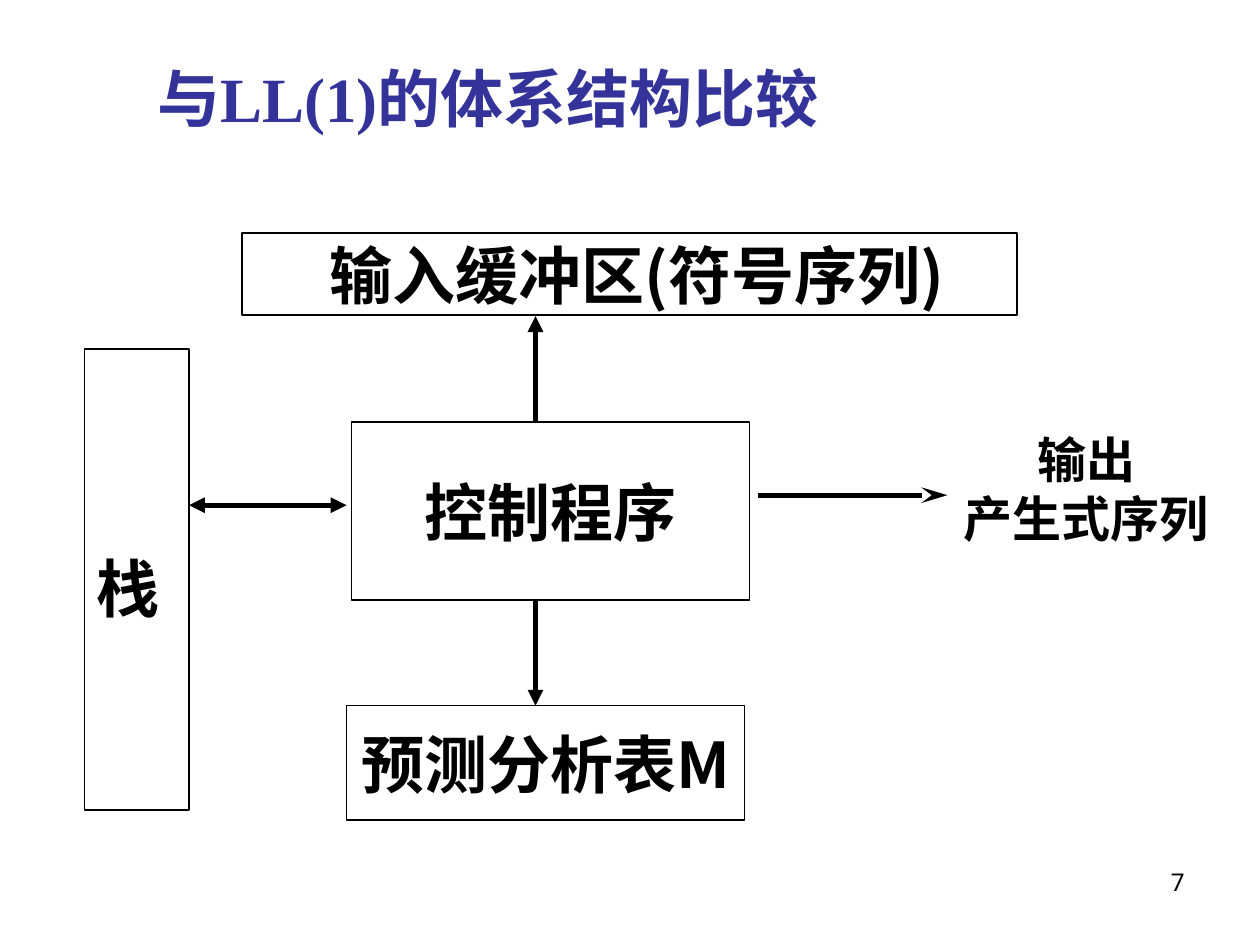
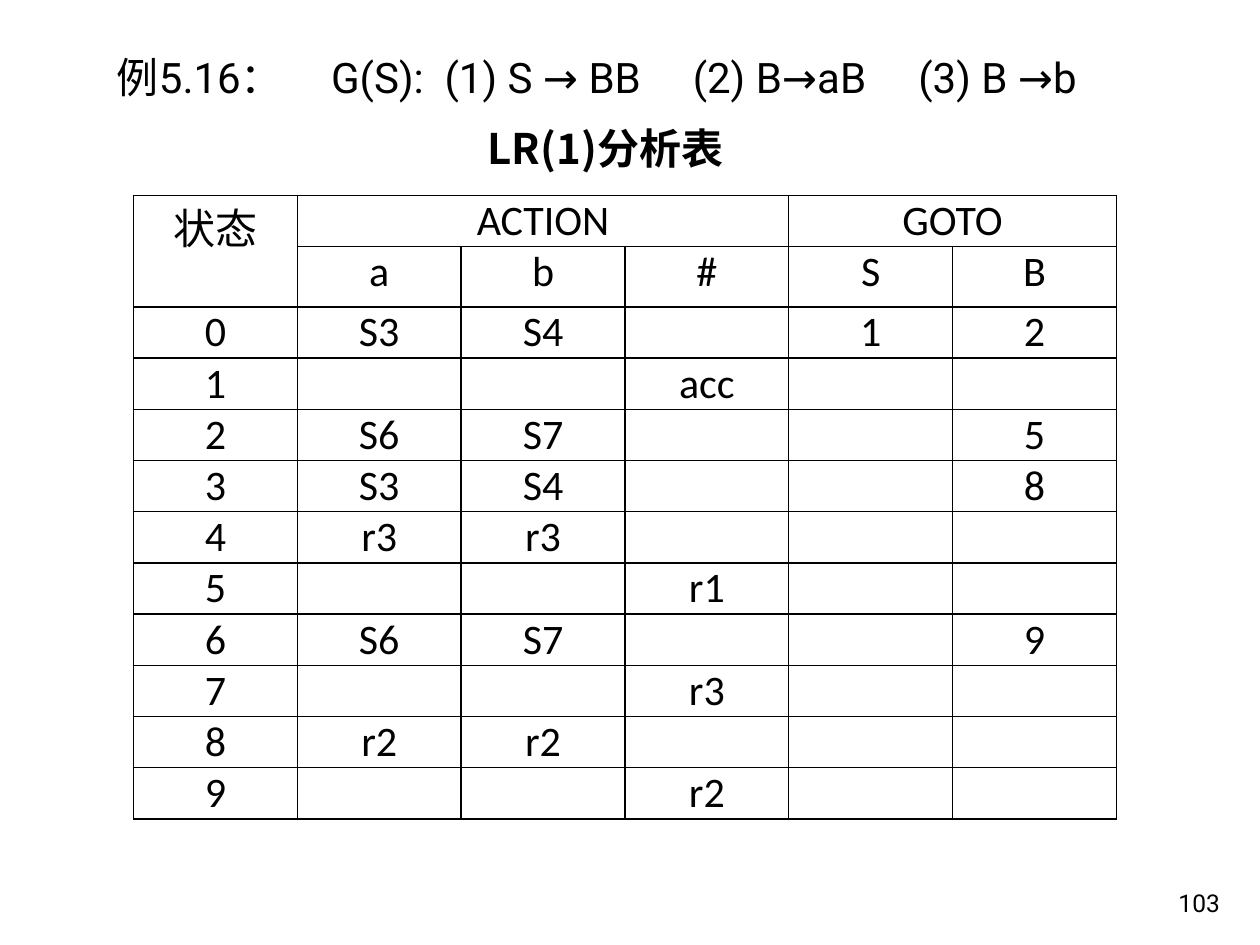
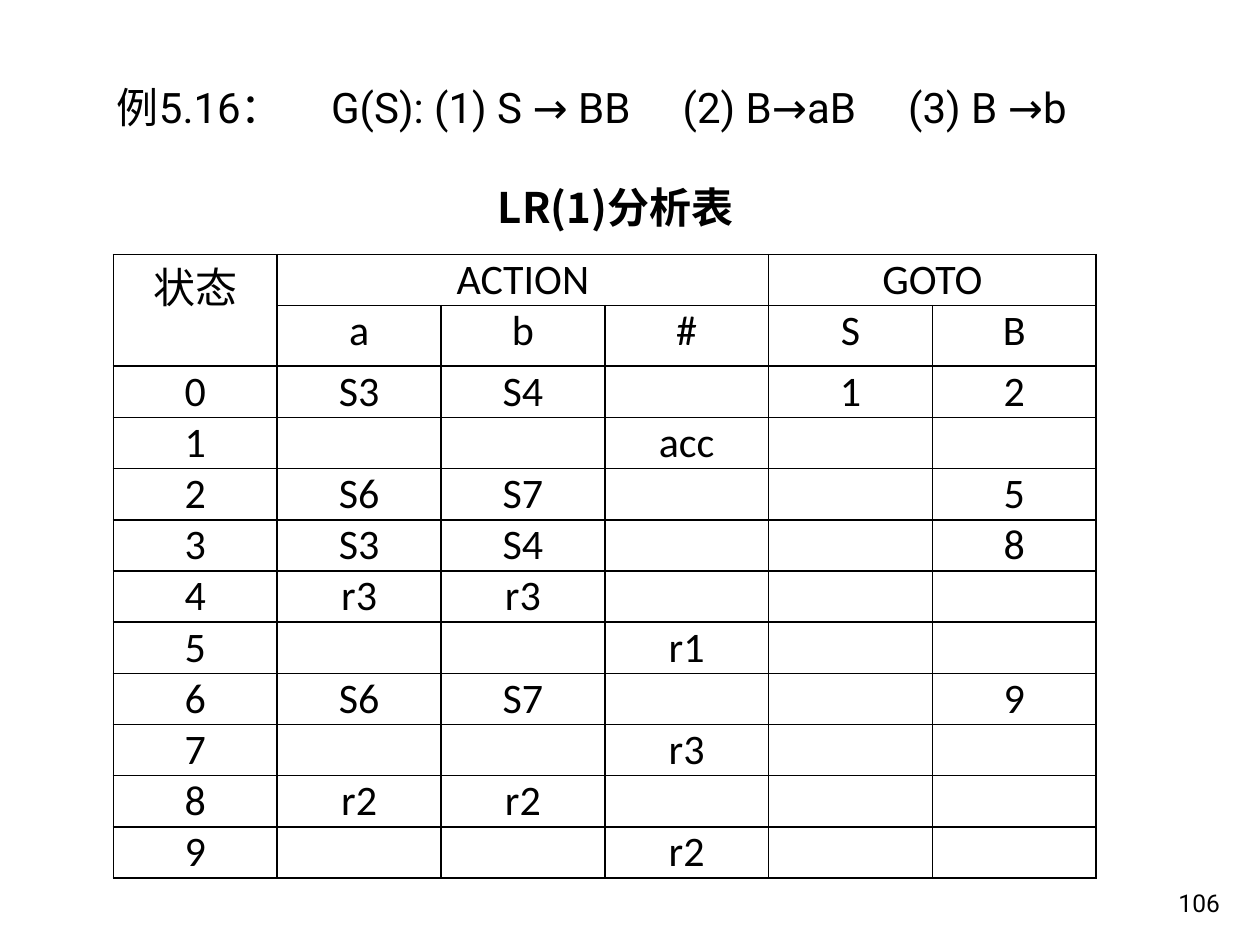
"""Build three slides on LL(1) structure and LR(1) parsing tables."""
from dataclasses import dataclass

from lxml import etree
from pptx import Presentation
from pptx import util as u
from pptx.dml.color import RGBColor
from pptx.enum import shapes, text
from pptx.oxml import ns


@dataclass(frozen=True)
class Theme:
    ink: RGBColor = RGBColor(0, 0, 0)
    title_color: RGBColor = RGBColor(0x33, 0x33, 0x99)
    cjk: str = "Noto Sans CJK JP"
    title_font: str = "Times New Roman"
    body_font: str = "Roboto"
    table_font: str = "Calibri"
    title: int = 36
    label: int = 28
    body: int = 24
    number: int = 14
    border: int = 1
    arrow: int = 3


THEME = Theme()
LEFT, CENTER, RIGHT = text.PP_ALIGN.LEFT, text.PP_ALIGN.CENTER, text.PP_ALIGN.RIGHT
TOP, MIDDLE, BOTTOM = text.MSO_ANCHOR.TOP, text.MSO_ANCHOR.MIDDLE, text.MSO_ANCHOR.BOTTOM

STRUCTURE_TITLE = "与LL(1)的体系结构比较"
OUTPUT_LABEL = "输出\n产生式序列"
BLOCKS = [
    (" 输入缓冲区(符号序列)", (1.92, 1.85, 6.15, 0.65), {}),
    ("栈", (0.67, 2.77, 0.83, 3.66), {"align": LEFT, "spacing": 1.2}),
    ("控制程序", (2.79, 3.35, 3.16, 1.41), {}),
    ("预测分析表M", (2.75, 5.6, 3.16, 0.91), {}),
]
TRIANGLE = {"type": "triangle"}
LONG_STEALTH = {"type": "stealth", "len": "lg"}
ARROWS = [
    ((4.25, 3.35), (4.25, 2.51), {"tail": TRIANGLE}),
    ((2.75, 4.01), (1.5, 4.01), {"head": TRIANGLE, "tail": TRIANGLE}),
    ((4.25, 5.6), (4.25, 4.76), {"head": TRIANGLE}),
    ((6.02, 3.93), (7.52, 3.93), {"tail": LONG_STEALTH}),
]

TABLE_CAPTION = "LR(1)分析表"
COLUMN_WIDTH = 1.3
TABLE_HEIGHT = 4.88
SYMBOL_ROW_HEIGHT = 0.48
MERGES = [((0, 0), (1, 0)), ((0, 1), (0, 3)), ((0, 4), (0, 5))]
PARSING_TABLE = [
    ("状态", "ACTION", "", "", "GOTO", ""),
    ("", "a", "b", "#", "S", "B"),
    ("0", "S3", "S4", "", "1", "2"),
    ("1", "", "", "acc", "", ""),
    ("2", "S6", "S7", "", "", "5"),
    ("3", "S3", "S4", "", "", "8"),
    ("4", "r3", "r3", "", "", ""),
    ("5", "", "", "r1", "", ""),
    ("6", "S6", "S7", "", "", "9"),
    ("7", "", "", "r3", "", ""),
    ("8", "r2", "r2", "", "", ""),
    ("9", "", "", "r2", "", ""),
]
TABLE_PAGES = [
    {
        "number": "103",
        "grammar": "例5.16：\tG(S):\t(1) S → BB\t(2) B→aB\t(3) B →b",
        "tabs": (1.7, 2.6, 4.57, 6.36),
        "grammar_at": (0.83, 0.36, 8.29, 0.5),
        "caption_at": (3.27, 0.92, 3.07, 0.5),
        "table_at": (1.06, 1.55),
    },
    {
        "number": "106",
        "grammar": "例5.16：\tG(S): (1) S → BB\t(2) B→aB\t(3) B →b",
        "tabs": (1.7, 4.49, 6.28),
        "grammar_at": (0.83, 0.6, 8.29, 0.5),
        "caption_at": (3.35, 1.39, 3.07, 0.5),
        "table_at": (0.9, 2.02),
    },
]


def inches(values):
    return [u.Inches(value) for value in values]


def add_node(parent, tag, **attributes):
    return etree.SubElement(parent, ns.qn(tag), attributes)


def write(frame, content, *, size, font=THEME.cjk, color=THEME.ink, bold=False,
          align=LEFT, anchor=TOP, spacing=None, wrap=True, tabs=()):
    frame.word_wrap = wrap
    frame.vertical_anchor = anchor
    for index, line in enumerate(content.split("\n")):
        para = frame.add_paragraph() if index else frame.paragraphs[0]
        para.alignment = align
        if spacing:
            para.line_spacing = spacing
        if tabs:
            stops = add_node(para._p.get_or_add_pPr(), "a:tabLst")
            for stop in tabs:
                add_node(stops, "a:tab", pos=str(u.Inches(stop)), algn="l")
        span = para.add_run()
        span.text = line
        span.font.size = u.Pt(size)
        span.font.name = font
        span.font.bold = bold
        span.font.color.rgb = color
        add_node(span._r.get_or_add_rPr(), "a:ea", typeface=THEME.cjk)


def add_text(page, content, place, **style):
    box = page.shapes.add_textbox(*inches(place))
    write(box.text_frame, content, **style)


def add_number(page, number, place, anchor):
    add_text(page, number, place, size=THEME.number, font=THEME.body_font,
             align=RIGHT, anchor=anchor)


def add_block(page, content, place, style):
    box = page.shapes.add_shape(shapes.MSO_SHAPE.RECTANGLE, *inches(place))
    box.shadow.inherit = False
    box.fill.background()
    box.line.color.rgb = THEME.ink
    box.line.width = u.Pt(THEME.border)
    options = {"align": CENTER, **style}
    write(box.text_frame, content, size=THEME.title, bold=True, anchor=MIDDLE,
          wrap=False, **options)


def add_arrow(page, start, end, ends):
    arrow = page.shapes.add_connector(shapes.MSO_CONNECTOR.STRAIGHT, *inches(start + end))
    arrow.line.color.rgb = THEME.ink
    arrow.line.width = u.Pt(THEME.arrow)
    line = arrow.line._get_or_add_ln()
    for side in ("head", "tail"):
        if side in ends:
            add_node(line, f"a:{side}End", **ends[side])
    add_node(arrow._element.spPr, "a:effectLst")


def add_borders(cell):
    properties = cell._tc.get_or_add_tcPr()
    for index, side in enumerate("LRTB"):
        line = add_node(properties, f"a:ln{side}", w=str(u.Pt(THEME.border)))
        fill = add_node(line, "a:solidFill")
        add_node(fill, "a:srgbClr", val=str(THEME.ink))
        properties.insert(index, line)


def add_parsing_table(page, place):
    row_count, column_count = len(PARSING_TABLE), len(PARSING_TABLE[0])
    size = (COLUMN_WIDTH * column_count, TABLE_HEIGHT)
    table = page.shapes.add_table(row_count, column_count, *inches(place + size)).table
    table.first_row = table.horz_banding = False
    table.rows[1].height = u.Inches(SYMBOL_ROW_HEIGHT)
    for start, end in MERGES:
        table.cell(*start).merge(table.cell(*end))
    for row, values in enumerate(PARSING_TABLE):
        for column, value in enumerate(values):
            cell = table.cell(row, column)
            cell.margin_left = cell.margin_right = u.Inches(0.07)
            cell.margin_top = cell.margin_bottom = 0
            cell.fill.background()
            add_borders(cell)
            if value:
                write(cell.text_frame, value, size=THEME.body,
                      font=THEME.table_font, align=CENTER)


def build_structure_page(page):
    add_number(page, "7", (7.17, 6.83, 2.33, 0.52), TOP)
    add_text(page, STRUCTURE_TITLE, (1.15, 0.36, 7, 0.82), size=THEME.title,
             font=THEME.title_font, color=THEME.title_color, bold=True, anchor=MIDDLE)
    for block in BLOCKS:
        add_block(page, *block)
    for arrow in ARROWS:
        add_arrow(page, *arrow)
    add_text(page, OUTPUT_LABEL, (7.44, 3.36, 2.36, 1.03), size=THEME.label,
             bold=True, align=CENTER)


def build_table_page(page, content):
    add_number(page, content["number"], (7.7, 6.83, 2.08, 0.5), BOTTOM)
    add_parsing_table(page, content["table_at"])
    add_text(page, TABLE_CAPTION, content["caption_at"], size=THEME.body,
             bold=True, align=CENTER)
    add_text(page, content["grammar"], content["grammar_at"], size=THEME.body,
             font=THEME.body_font, tabs=content["tabs"])


def main():
    deck = Presentation()
    deck.slide_width, deck.slide_height = inches((10, 7.5))
    blank = deck.slide_layouts[6]
    build_structure_page(deck.slides.add_slide(blank))
    for content in TABLE_PAGES:
        build_table_page(deck.slides.add_slide(blank), content)
    deck.save("out.pptx")


if __name__ == "__main__":
    main()
